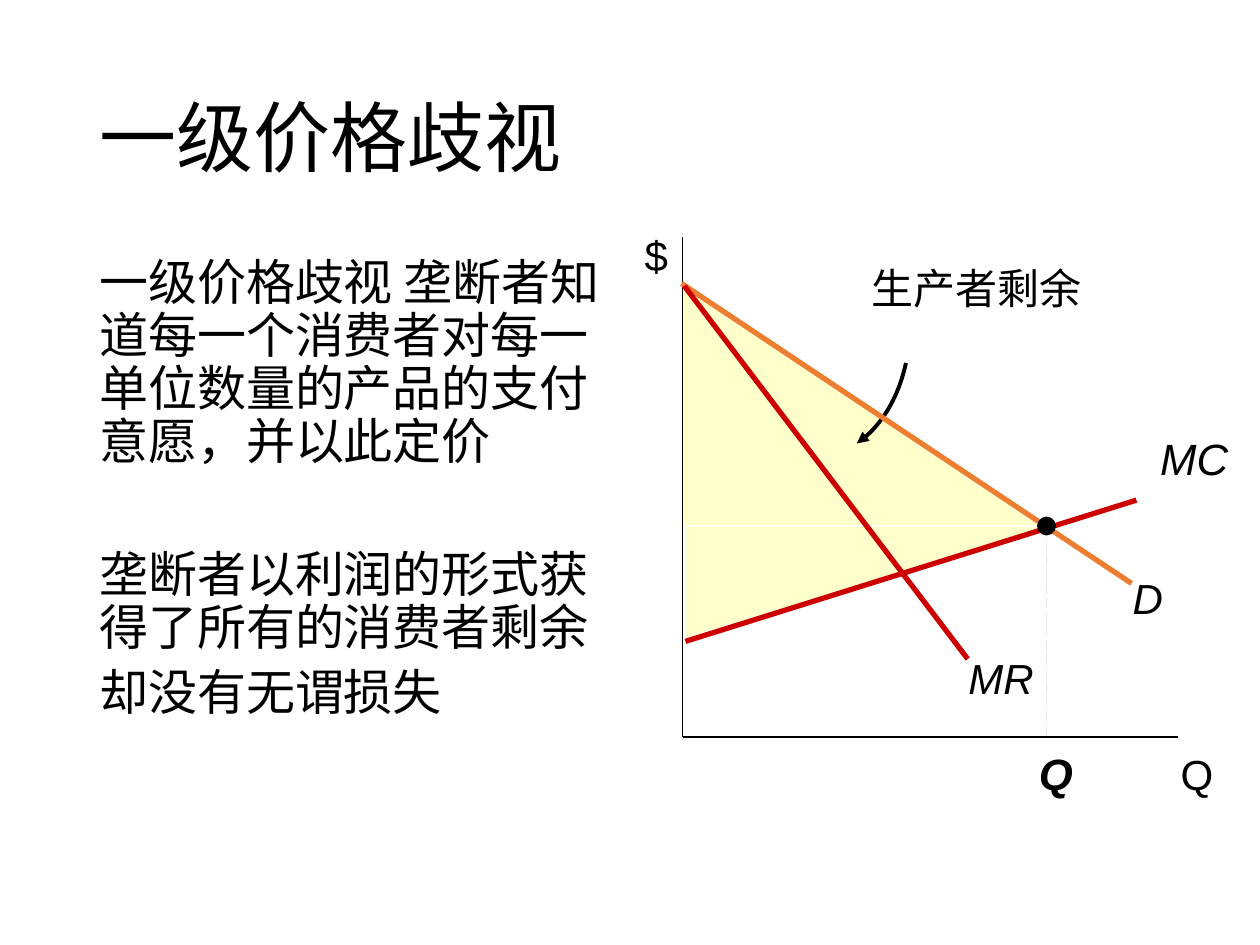
from lxml import etree
from pptx import Presentation
from pptx.dml.color import RGBColor
from pptx.enum.dml import MSO_LINE
from pptx.enum.shapes import MSO_CONNECTOR, MSO_SHAPE
from pptx.enum.text import MSO_ANCHOR, PP_ALIGN
from pptx.oxml.ns import qn
from pptx.util import Pt

BLACK = RGBColor(0x00, 0x00, 0x00)
RED = RGBColor(0xCC, 0x00, 0x00)
ORANGE = RGBColor(0xED, 0x7D, 0x31)
YELLOW = RGBColor(0xFF, 0xFF, 0xCC)
GRAY = RGBColor(0xE7, 0xE6, 0xE6)
LEFT, CENTER, RIGHT = PP_ALIGN.LEFT, PP_ALIGN.CENTER, PP_ALIGN.RIGHT
TOP, MIDDLE = MSO_ANCHOR.TOP, MSO_ANCHOR.MIDDLE
TRIANGLE, OVAL = MSO_SHAPE.RIGHT_TRIANGLE, MSO_SHAPE.OVAL
STRAIGHT = MSO_CONNECTOR.STRAIGHT
LONG_DASH = MSO_LINE.LONG_DASH

AXIS_X, AXIS_Y = 390.2, 421.2
QUANTITY_X = 598.2


class Slide:
    def __init__(self, prs, font="Arial", color=BLACK):
        self.shapes = prs.slides.add_slide(prs.slide_layouts[6]).shapes
        self.font, self.color = font, color

    def text(self, box, paragraphs, size, font=None, align=LEFT, anchor=TOP,
             spacing=None, inset=(7.2, 3.6), bold=False, italic=False):
        """Add a text box; paragraphs are (text, space before) pairs."""
        tf = self.shapes.add_textbox(*map(Pt, box)).text_frame
        tf.word_wrap = True
        tf.vertical_anchor = anchor
        tf.margin_left = tf.margin_right = Pt(inset[0])
        tf.margin_top = tf.margin_bottom = Pt(inset[1])
        for i, (words, before) in enumerate(paragraphs):
            p = tf.add_paragraph() if i else tf.paragraphs[0]
            p.text = words
            p.alignment = align
            p.space_before = Pt(before)
            p.line_spacing = spacing
            p.font.name = font or self.font
            p.font.size = Pt(size)
            p.font.bold, p.font.italic = bold, italic
            p.font.color.rgb = self.color

    def label(self, box, words, size=24, **style):
        self.text(box, [(words, 0)], size, **style)

    def area(self, kind, box, color, rotation=0):
        sp = self.shapes.add_shape(kind, *map(Pt, box))
        sp.shadow.inherit = False
        sp.rotation = rotation
        sp.fill.solid()
        sp.fill.fore_color.rgb = color
        sp.line.fill.background()

    def line(self, start, end, color, width=0.75, dash=None):
        cxn = self.shapes.add_connector(STRAIGHT, *map(Pt, start + end))
        cxn.line.color.rgb = color
        cxn.line.width = Pt(width)
        cxn.line.dash_style = dash
        etree.SubElement(cxn._element.spPr, qn("a:effectLst"))

    def curved_arrow(self, controls, color, width, steps=16):
        """Draw a cubic Bezier curve with an arrowhead at its end."""
        points = []
        for i in range(steps + 1):
            t = i / steps
            weights = ((1 - t) ** 3, 3 * t * (1 - t) ** 2,
                       3 * t * t * (1 - t), t ** 3)
            points.append([Pt(sum(w * c for w, c in zip(weights, axis)))
                           for axis in zip(*controls)])
        builder = self.shapes.build_freeform(*points[0])
        builder.add_line_segments(points[1:], close=False)
        sp = builder.convert_to_shape()
        sp.shadow.inherit = False
        sp.fill.background()
        sp.line.color.rgb = color
        sp.line.width = Pt(width)
        etree.SubElement(sp.line._get_or_add_ln(), qn("a:tailEnd"), type="triangle")


def main():
    prs = Presentation()
    prs.slide_width, prs.slide_height = Pt(720), Pt(540)
    s = Slide(prs)

    s.label((49.7, 28.8, 620.6, 104.4), "一级价格歧视", 44,
            font="Calibri", anchor=MIDDLE, spacing=0.9)
    s.text((49.7, 144, 301, 342.7), [
        ("一级价格歧视 垄断者知道每一个消费者对每一单位数量的产品的支付意愿，并以此定价", 0),
        ("垄断者以利润的形式获得了所有的消费者剩余", 46),
        ("却没有无谓损失", 7),
    ], 28, spacing=0.9)

    # Producer surplus
    s.area(TRIANGLE, (464.4, 228.2, 63.4, 208.8), YELLOW, rotation=90)
    s.area(TRIANGLE, (AXIS_X, 162.7, 205.2, 137.5), YELLOW)
    s.label((491, 146.2, 144, 36.7), "生产者剩余")
    s.curved_arrow([(517.7, 207.4), (513.4, 227.5), (503.3, 244.1), (489.6, 253.4)],
                   BLACK, 2.25)

    # Marginal cost
    s.line((391.7, 366.5), (649.4, 285.8), RED, 3)
    s.label((655.9, 243.4, 58, 37.4), "MC", 25, italic=True)

    # Axes
    s.line((AXIS_X, 135.4), (AXIS_X, AXIS_Y), BLACK)
    s.line((AXIS_X, AXIS_Y), (673.2, AXIS_Y), BLACK)
    s.label((595.4, 427.7, 97.9, 28.8), "Q", align=RIGHT, inset=(0, 0))
    s.label((263.5, 127.4, 125.3, 36), "$", align=RIGHT)

    # Demand and marginal revenue
    s.line((389.5, 162), (646.6, 333.4), ORANGE, 3)
    s.label((638.6, 326.9, 34.6, 28.8), "D", align=CENTER, inset=(0, 0), italic=True)
    s.label((548.6, 373, 46.8, 28.8), "MR", align=CENTER, inset=(0, 0), italic=True)
    s.line((391, 163.4), (553, 376.6), RED, 3)

    # Quantity sold
    s.line((QUANTITY_X, 301), (QUANTITY_X, AXIS_Y), GRAY, dash=LONG_DASH)
    s.area(OVAL, (592.6, 295.2, 10.8, 10.8), BLACK)
    s.label((583.9, 427, 38.9, 33.8), "Q", 25, align=CENTER, inset=(0, 0),
            bold=True, italic=True)

    prs.save("out.pptx")


if __name__ == "__main__":
    main()
